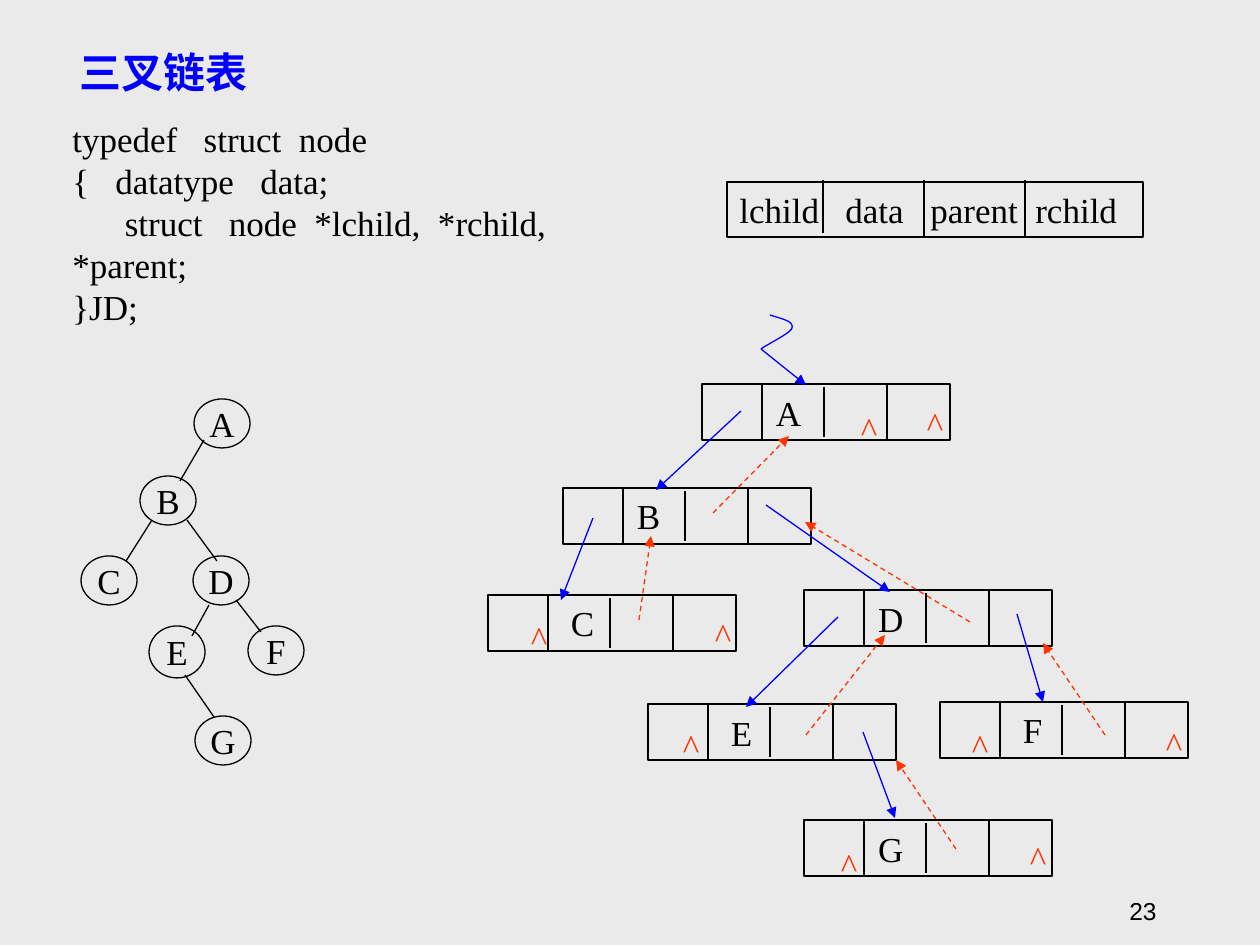
from dataclasses import dataclass

from lxml.etree import SubElement
from pptx import Presentation
from pptx.dml.color import RGBColor
from pptx.enum.dml import MSO_LINE
from pptx.enum.shapes import MSO_CONNECTOR, MSO_SHAPE
from pptx.enum.text import MSO_ANCHOR, PP_ALIGN
from pptx.oxml.ns import qn
from pptx.util import Pt


@dataclass(frozen=True)
class Theme:
    background: RGBColor = RGBColor(0xEA, 0xEA, 0xEA)
    ink: RGBColor = RGBColor(0, 0, 0)
    child: RGBColor = RGBColor(0, 0, 0xFF)
    parent: RGBColor = RGBColor(0xFF, 0x33, 0)
    serif: str = "Times New Roman"
    sans: str = "Arial"
    title_size: int = 24
    body_size: int = 20
    number_size: int = 14
    stroke: float = 0.75


THEME = Theme()
EMU_PER_PX = 914400 / 126

CODE = (
    "typedef   struct  node",
    "{   datatype   data;",
    "      struct   node  *lchild,  *rchild,  *parent;",
    "}JD;",
)

# Binary tree: left, top and height of each circle, then the edges
TREE_NODES = {
    "A": (194, 399, 49), "B": (140, 476, 49), "C": (81, 556, 49),
    "D": (193, 556, 49), "E": (149, 626, 52), "F": (248, 626, 49),
    "G": (195, 716, 49),
}
TREE_EDGES = (
    (204, 440, 180, 481), (152, 520, 126, 561), (187, 520, 217, 561),
    (209, 605, 192, 636), (236, 600, 261, 632), (185, 675, 214, 717),
)

# Linked records: left, top and label inset
RECORDS = {
    "A": (702, 384, 74), "B": (563, 488, 74), "C": (488, 595, 83),
    "D": (804, 590, 74), "E": (648, 704, 83), "F": (940, 702, 83),
    "G": (804, 820, 74),
}
RECORD_W, RECORD_H = 248, 56
RECORD_DIVIDERS = ((60, 0), (122, 3), (185, 0))  # offset, gap at each end

CHILD_LINKS = (
    (741, 411, 656, 490), (593, 518, 561, 600), (838, 617, 746, 707),
    (766, 505, 890, 592), (1017, 614, 1043, 702), (863, 732, 895, 818),
)
PARENT_LINKS = (
    (713, 513, 789, 436), (639, 620, 651, 536), (970, 622, 805, 522),
    (806, 735, 885, 635), (956, 849, 896, 760), (1105, 735, 1043, 643),
)
NULL_MARKS = (
    (848, 401), (914, 396), (518, 610), (702, 607), (670, 718),
    (959, 718), (1153, 716), (828, 837), (1017, 830),
)
ROOT_CURVES = (
    ((770, 315), (782, 319), (794, 321), (792, 328)),
    ((792, 328), (791, 333), (766, 345), (761, 349)),
)


def px(length):
    return round(length * EMU_PER_PX)


def box_of(*lengths):
    return [px(length) for length in lengths]


def write(shape, lines, size=THEME.body_size, font=THEME.serif, color=THEME.ink,
          align=PP_ALIGN.LEFT, anchor=MSO_ANCHOR.MIDDLE, wrap=False, bold=False):
    frame = shape.text_frame
    frame.word_wrap = wrap
    frame.vertical_anchor = anchor
    for index, line in enumerate(lines):
        paragraph = frame.paragraphs[0] if index == 0 else frame.add_paragraph()
        paragraph.alignment = align
        run = paragraph.add_run()
        run.text = line
        run.font.size = Pt(size)
        run.font.name = font
        run.font.bold = bold
        run.font.color.rgb = color
    return frame


def add_label(slide, box, lines, **style):
    return write(slide.shapes.add_textbox(*box_of(*box)), lines, **style)


def outline(shape, color=THEME.ink):
    shape.shadow.inherit = False
    shape.fill.background()
    shape.line.color.rgb = color
    shape.line.width = Pt(THEME.stroke)
    return shape


def add_outlined(slide, preset, box):
    return outline(slide.shapes.add_shape(preset, *box_of(*box)))


def add_line(slide, ends, color=THEME.ink, arrow=False, dashed=False):
    line = slide.shapes.add_connector(MSO_CONNECTOR.STRAIGHT, *box_of(*ends))
    line.line.color.rgb = color
    line.line.width = Pt(THEME.stroke)
    if dashed:
        line.line.dash_style = MSO_LINE.DASH
    if arrow:
        SubElement(line.line._get_or_add_ln(), qn("a:tailEnd"), type="triangle")
    SubElement(line._element.spPr, qn("a:effectLst"))


def add_title(slide):
    title = slide.shapes.title
    title.left, title.top, title.width, title.height = box_of(67, 40, 442, 62)
    write(title, ["三叉链表"], size=THEME.title_size, font=THEME.sans,
          color=THEME.child, anchor=MSO_ANCHOR.TOP, wrap=True, bold=True)


def add_code(slide):
    frame = add_label(slide, (60, 132, 631, 181), CODE)
    for paragraph in frame.paragraphs:
        paragraph.line_spacing = Pt(24)


def add_field_header(slide):
    header = add_outlined(slide, MSO_SHAPE.RECTANGLE, (727, 182, 416, 55))
    frame = write(header, ["lchild\tdata\tparent\trchild"], wrap=True)
    tabs = SubElement(frame.paragraphs[0]._p.get_or_add_pPr(), qn("a:tabLst"))
    for stop in (106, 191, 296):
        SubElement(tabs, qn("a:tab"), pos=str(px(stop)), algn="l")
    for x, bottom in ((823, 233), (924, 236), (1025, 236)):
        add_line(slide, (x, 180, x, bottom))


def add_tree(slide):
    for name, (left, top, height) in TREE_NODES.items():
        circle = add_outlined(slide, MSO_SHAPE.OVAL, (left, top, 56, height))
        write(circle, [name], align=PP_ALIGN.CENTER)
    for edge in TREE_EDGES:
        add_line(slide, edge)


def add_record(slide, name, left, top, inset):
    record = add_outlined(slide, MSO_SHAPE.RECTANGLE, (left, top, RECORD_W, RECORD_H))
    write(record, [name], wrap=True).margin_left = px(inset)
    for offset, gap in RECORD_DIVIDERS:
        x = left + offset
        add_line(slide, (x, top + gap, x, top + RECORD_H - gap))


def curve_points(curve, steps=12):
    for step in range(steps + 1):
        t = step / steps
        weights = ((1 - t) ** 3, 3 * t * (1 - t) ** 2, 3 * t * t * (1 - t), t ** 3)
        yield tuple(px(sum(w * point[axis] for w, point in zip(weights, curve)))
                    for axis in (0, 1))


def add_root_pointer(slide):
    points = [point for curve in ROOT_CURVES for point in curve_points(curve)]
    builder = slide.shapes.build_freeform(*points[0], scale=1.0)
    builder.add_line_segments(points[1:], close=False)
    outline(builder.convert_to_shape(), THEME.child)
    add_line(slide, (761, 349, 806, 385), THEME.child, arrow=True)


def main():
    deck = Presentation()
    deck.slide_width, deck.slide_height = box_of(1260, 945)
    slide = deck.slides.add_slide(deck.slide_layouts[5])
    slide.background.fill.solid()
    slide.background.fill.fore_color.rgb = THEME.background

    # Type definition and record layout
    add_title(slide)
    add_code(slide)
    add_field_header(slide)

    # Tree and its linked storage
    add_tree(slide)
    for name, place in RECORDS.items():
        add_record(slide, name, *place)
    for link in CHILD_LINKS:
        add_line(slide, link, THEME.child, arrow=True)
    for link in PARENT_LINKS:
        add_line(slide, link, THEME.parent, arrow=True, dashed=True)
    add_root_pointer(slide)
    for left, top in NULL_MARKS:
        add_label(slide, (left, top, 42, 55), ["^"], color=THEME.parent,
                  align=PP_ALIGN.CENTER)

    # Slide number
    add_label(slide, (907, 869, 262, 63), ["23"], size=THEME.number_size,
              font=THEME.sans, align=PP_ALIGN.RIGHT, anchor=MSO_ANCHOR.BOTTOM, wrap=True)
    deck.save("out.pptx")


if __name__ == "__main__":
    main()
